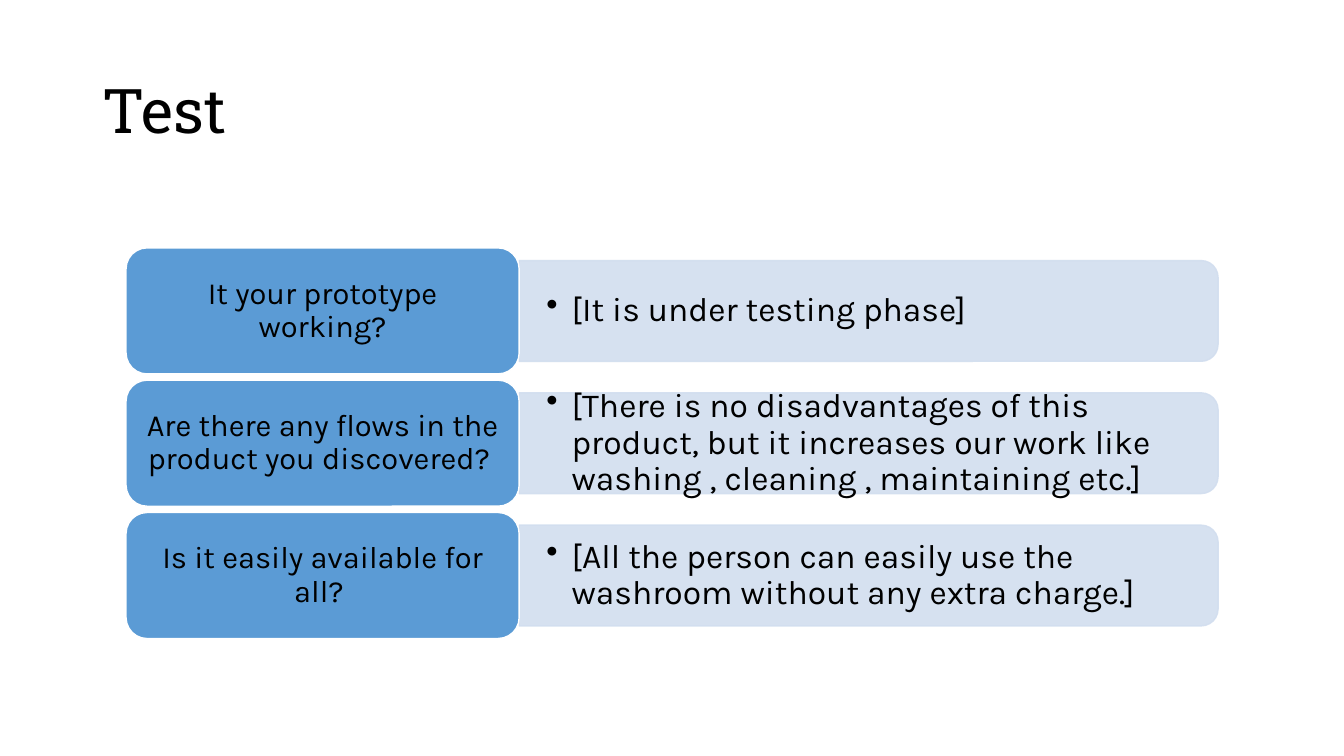
"""Build the Test slide: three questions beside their answers."""
from dataclasses import dataclass

from lxml.etree import SubElement
from pptx import Presentation
from pptx.dml.color import RGBColor
from pptx.dml.fill import FillFormat
from pptx.enum.shapes import MSO_SHAPE
from pptx.enum.text import MSO_ANCHOR, PP_ALIGN
from pptx.oxml.ns import qn
from pptx.shapes.autoshape import Shape
from pptx.slide import Slide
from pptx.util import Inches, Pt

SLIDE_WIDTH = Inches(13.333)
SLIDE_HEIGHT = Inches(7.5)


@dataclass(frozen=True)
class Theme:
    """Colours, fonts and type sizes of the slide."""
    text: RGBColor = RGBColor(0x00, 0x00, 0x00)
    question: RGBColor = RGBColor(0x5B, 0x9B, 0xD5)
    outline: RGBColor = RGBColor(0xFF, 0xFF, 0xFF)
    answer: RGBColor = RGBColor(0xD2, 0xDE, 0xEF)
    answer_opacity: int = 90
    title_font: str = "Roboto Slab"
    body_font: str = "Karla"
    title_size: int = 44
    question_size: int = 22
    answer_size: int = 24


@dataclass(frozen=True)
class Area:
    """A rectangle in percent of the slide's width and height."""
    left: float
    top: float
    width: float
    height: float

    def box(self) -> tuple[int, int, int, int]:
        """Return left, top, width and height as lengths."""
        return (int(SLIDE_WIDTH * self.left / 100), int(SLIDE_HEIGHT * self.top / 100),
                int(SLIDE_WIDTH * self.width / 100), int(SLIDE_HEIGHT * self.height / 100))


@dataclass(frozen=True)
class Row:
    """A question and its answer."""
    question: str
    answer: str


THEME = Theme()
TITLE_AREA = Area(6.88, 5.33, 86.25, 19.33)
FIRST_CENTRE = 41.13
ROW_PITCH = 17.5
QUESTION_LEFT, QUESTION_WIDTH, QUESTION_HEIGHT = 9.38, 29.25, 16.67
ANSWER_LEFT, BAR_WIDTH, BAR_HEIGHT = 38.63, 52, 13.33
ANSWER_WIDTH, ANSWER_HEIGHT = 51.6, 12

ROWS = (
    Row("It your prototype working?", "[It is under testing phase]"),
    Row("Are there any flows in the product you discovered? ",
        "[There is no disadvantages of this product, but it increases our work like "
        "washing , cleaning , maintaining etc.]"),
    Row("Is it easily available for all? ",
        "[All the person can easily use the washroom without any extra charge.]"),
)


def centred_area(left: float, centre: float, width: float, height: float) -> Area:
    """Return an area whose vertical middle is the given centre."""
    return Area(left, centre - height / 2, width, height)


def write_text(box: Shape, text: str, font: str, size: int, align: PP_ALIGN,
               margins: tuple[float, float]) -> None:
    """Fill a box with one formatted, vertically centred paragraph."""
    frame = box.text_frame
    frame.text = text
    frame.word_wrap = True
    frame.vertical_anchor = MSO_ANCHOR.MIDDLE
    frame.margin_left = frame.margin_right = Inches(margins[0])
    frame.margin_top = frame.margin_bottom = Inches(margins[1])
    para = frame.paragraphs[0]
    para.alignment = align
    para.line_spacing = 0.9
    span = para.runs[0]
    span.font.name = font
    span.font.size = Pt(size)
    span.font.color.rgb = THEME.text


def add_bullet(box: Shape) -> None:
    """Give the box's paragraph a hanging bullet."""
    properties = box.text_frame.paragraphs[0]._p.get_or_add_pPr()
    properties.set("marL", str(Inches(0.25)))
    properties.set("indent", str(-Inches(0.25)))
    SubElement(properties, qn("a:buChar"), char="•")


def paint(shape: Shape, fill: RGBColor, line: RGBColor) -> None:
    """Set a flat fill and a one-point outline."""
    shape.shadow.inherit = False
    shape.fill.solid()
    shape.fill.fore_color.rgb = fill
    shape.line.color.rgb = line
    shape.line.width = Pt(1)


def set_opacity(shape: Shape, percent: int) -> None:
    """Make the fill and outline partly transparent."""
    for color in shape._element.spPr.iter(qn("a:srgbClr")):
        SubElement(color, qn("a:alpha"), val=str(percent * 1000))


def add_answer(page: Slide, text: str, centre: float) -> None:
    """Draw the pale bar, turned so its round end points right, and its text."""
    left, top, length, thickness = centred_area(ANSWER_LEFT, centre, BAR_WIDTH, BAR_HEIGHT).box()
    shift = (length - thickness) // 2
    bar = page.shapes.add_shape(MSO_SHAPE.ROUND_2_SAME_RECTANGLE, left + shift, top - shift,
                                thickness, length)
    bar.rotation = 90
    paint(bar, THEME.answer, THEME.answer)
    set_opacity(bar, THEME.answer_opacity)
    box = page.shapes.add_textbox(
        *centred_area(ANSWER_LEFT, centre, ANSWER_WIDTH, ANSWER_HEIGHT).box())
    write_text(box, text, THEME.body_font, THEME.answer_size, PP_ALIGN.LEFT, (0.27, 0.14))
    add_bullet(box)


def add_question(page: Slide, text: str, centre: float) -> None:
    """Draw the blue card with its question."""
    card = page.shapes.add_shape(
        MSO_SHAPE.ROUNDED_RECTANGLE,
        *centred_area(QUESTION_LEFT, centre, QUESTION_WIDTH, QUESTION_HEIGHT).box())
    paint(card, THEME.question, THEME.outline)
    write_text(card, text, THEME.body_font, THEME.question_size, PP_ALIGN.CENTER, (0.09, 0.05))


def main() -> None:
    """Build and save the deck."""
    deck = Presentation()
    deck.slide_width = SLIDE_WIDTH
    deck.slide_height = SLIDE_HEIGHT
    page = deck.slides.add_slide(deck.slide_layouts[6])
    title = page.shapes.add_textbox(*TITLE_AREA.box())
    write_text(title, "Test", THEME.title_font, THEME.title_size, PP_ALIGN.LEFT, (0.1, 0.05))
    for index, row in enumerate(ROWS):
        centre = FIRST_CENTRE + index * ROW_PITCH
        add_answer(page, row.answer, centre)
        add_question(page, row.question, centre)
    deck.save("out.pptx")


if __name__ == "__main__":
    main()
